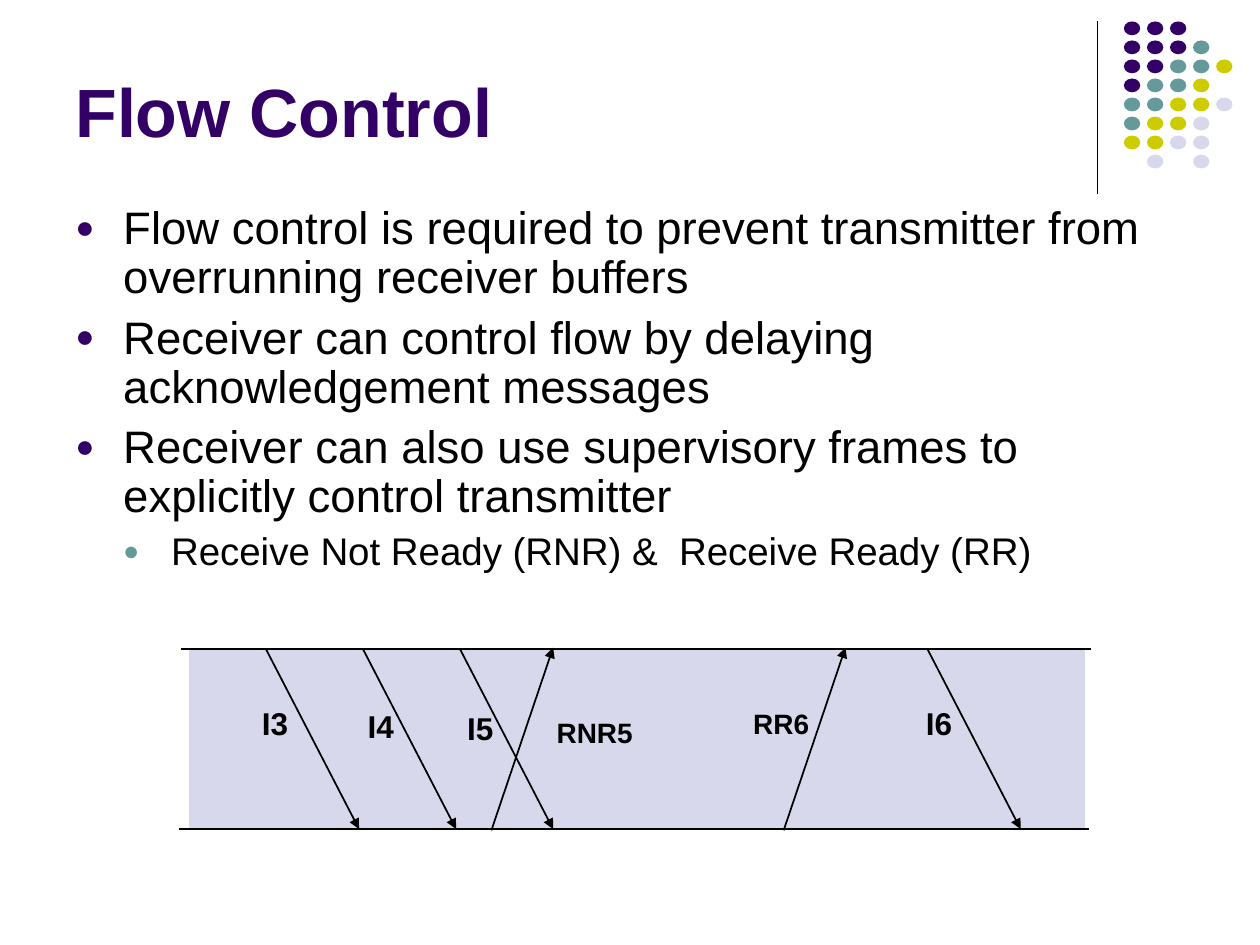
from lxml import etree
from pptx import Presentation
from pptx import util as u
from pptx.dml.color import RGBColor
from pptx.enum import shapes, text
from pptx.oxml import ns

Inches = u.Inches
hues = {"plum": "330066", "teal": "669999", "lime": "CCCC00",
        "pale": "D8D8EC", "black": "000000"}

deck = Presentation()
deck.slide_width, deck.slide_height = Inches(10), Inches(7.5)
slide = deck.slides.add_slide(deck.slide_layouts[6])
items = slide.shapes


def style(para, size, hue="black", bold=False):
    for run in para.runs:
        font = run.font
        font.name, font.size, font.bold = "Arial", u.Pt(size), bold
        font.color.rgb = RGBColor.from_string(hues[hue])


def draw(x1, y1, x2, y2, width=1, arrow=False):
    line = items.add_connector(shapes.MSO_CONNECTOR.STRAIGHT,
                               Inches(x1), Inches(y1), Inches(x2), Inches(y2))
    line.line.color.rgb = RGBColor.from_string(hues["black"])
    line.line.width = u.Pt(width)
    if arrow:
        etree.SubElement(line.line._get_or_add_ln(), ns.qn("a:tailEnd"), type="triangle")
    etree.SubElement(line._element.spPr, ns.qn("a:effectLst"))


draw(8.71, 0.17, 8.71, 1.54, 0.75)

dots = ["PPP", "PPPT", "PPTTL", "PTTL", "TTLLA", "TLLA", "LLAA", " A A"]
keys = {"P": "plum", "T": "teal", "L": "lime", "A": "pale"}
parts = [(shapes.MSO_SHAPE.OVAL, 8.92 + 0.183 * col, 0.17 + 0.151 * row, 0.13, 0.11, keys[key])
         for row, marks in enumerate(dots)
         for col, key in enumerate(marks) if key in keys]
parts.append((shapes.MSO_SHAPE.RECTANGLE, 1.5, 5.15, 7.11, 1.43, "pale"))
for kind, x, y, wide, high, hue in parts:
    part = items.add_shape(kind, Inches(x), Inches(y), Inches(wide), Inches(high))
    part.shadow.inherit = False
    part.fill.solid()
    part.fill.fore_color.rgb = RGBColor.from_string(hues[hue])
    part.line.fill.background()

draw(1.44, 5.15, 8.66, 5.15)
draw(1.42, 6.58, 8.64, 6.58)
for x in (2.11, 2.88, 3.65, 7.36):
    draw(x, 5.15, x + 0.74, 6.58, arrow=True)
for x in (3.9, 6.22):
    draw(x, 6.59, x + 0.49, 5.14, arrow=True)

labels = [("I3", 1.98, 5.54, 0.41, 18), ("I4", 2.82, 5.56, 0.41, 18),
          ("I5", 3.61, 5.58, 0.41, 18), ("I6", 7.25, 5.54, 0.41, 18),
          ("RNR5", 4.32, 5.63, 0.8, 16), ("RR6", 5.88, 5.56, 0.64, 16)]
for words, x, y, wide, size in labels:
    frame = items.add_textbox(Inches(x), Inches(y), Inches(wide), Inches(size / 45)).text_frame
    frame.word_wrap = False
    frame.auto_size = text.MSO_AUTO_SIZE.SHAPE_TO_FIT_TEXT
    frame.text = words
    style(frame.paragraphs[0], size, bold=True)

title = items.add_textbox(Inches(0.5), Inches(0.13), Inches(8.25), Inches(1.12)).text_frame
title.word_wrap = True
title.vertical_anchor = text.MSO_ANCHOR.BOTTOM
title.text = "Flow Control"
style(title.paragraphs[0], 39, "plum", True)

points = [
    ("Flow control is required to prevent transmitter from overrunning receiver buffers", 0),
    ("Receiver can control flow by delaying acknowledgement messages", 0),
    ("Receiver can also use supervisory frames to explicitly control transmitter", 0),
    ("Receive Not Ready (RNR) &  Receive Ready (RR)", 1),
]
levels = [(26, 6.5, "plum"), (22, 5.5, "teal")]
body = items.add_textbox(Inches(0.5), Inches(1.58), Inches(9), Inches(3.09)).text_frame
body.word_wrap = True
body.text = "\n".join(words for words, level in points)
for spot, (para, (words, level)) in enumerate(zip(body.paragraphs, points)):
    size, gap, hue = levels[level]
    para.level = level
    para.line_spacing = 0.9
    para.space_before = u.Pt(gap if spot else 0)
    props = para._p.get_or_add_pPr()
    props.set("marL", str(Inches(0.38 * (level + 1))))
    props.set("indent", str(Inches(-0.38)))
    tint = etree.SubElement(props, ns.qn("a:buClr"))
    etree.SubElement(tint, ns.qn("a:srgbClr"), val=hues[hue])
    etree.SubElement(props, ns.qn("a:buSzPct"), val="70000")
    etree.SubElement(props, ns.qn("a:buFont"), typeface="Arial")
    etree.SubElement(props, ns.qn("a:buChar"), char="●")
    style(para, size)

deck.save("out.pptx")
